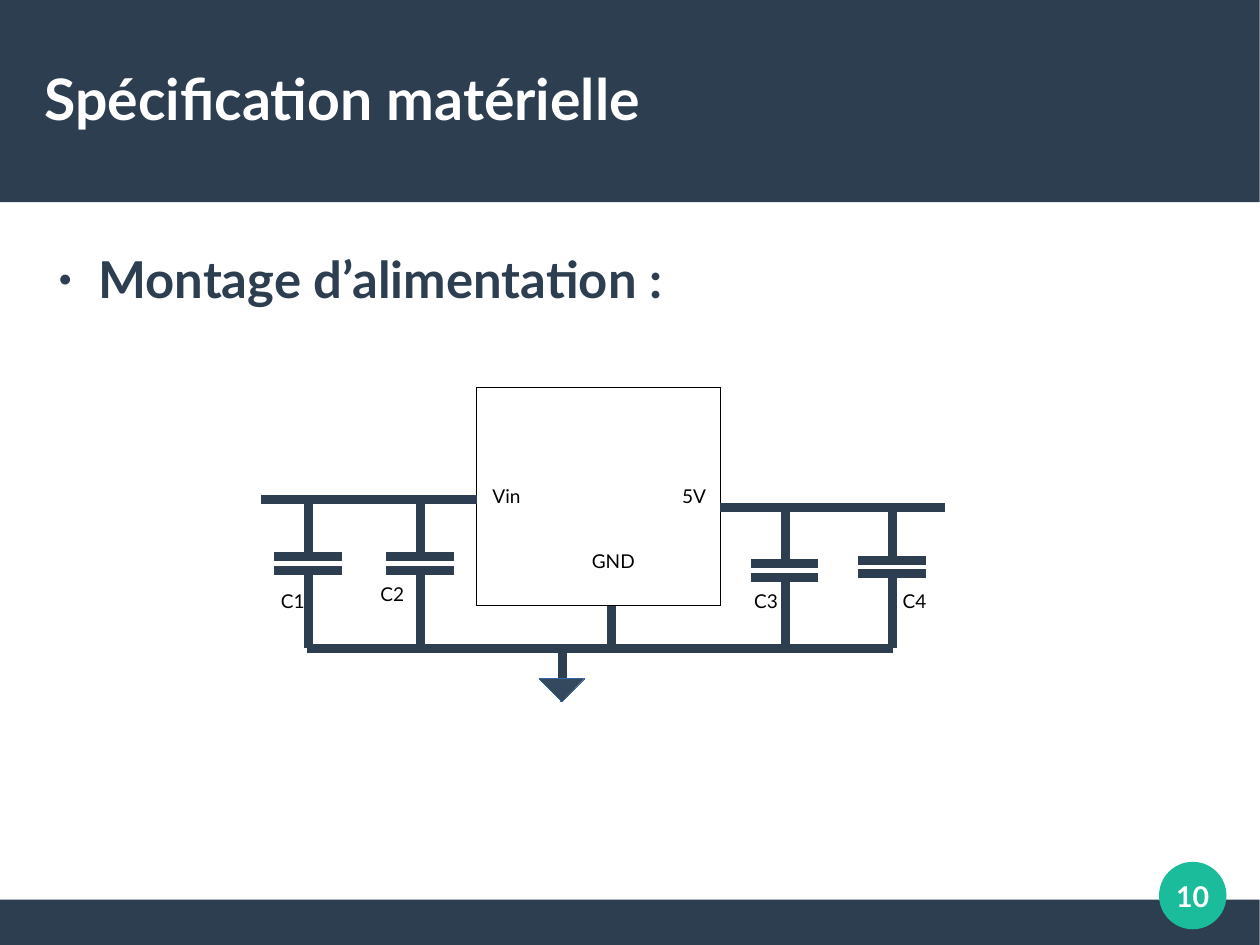
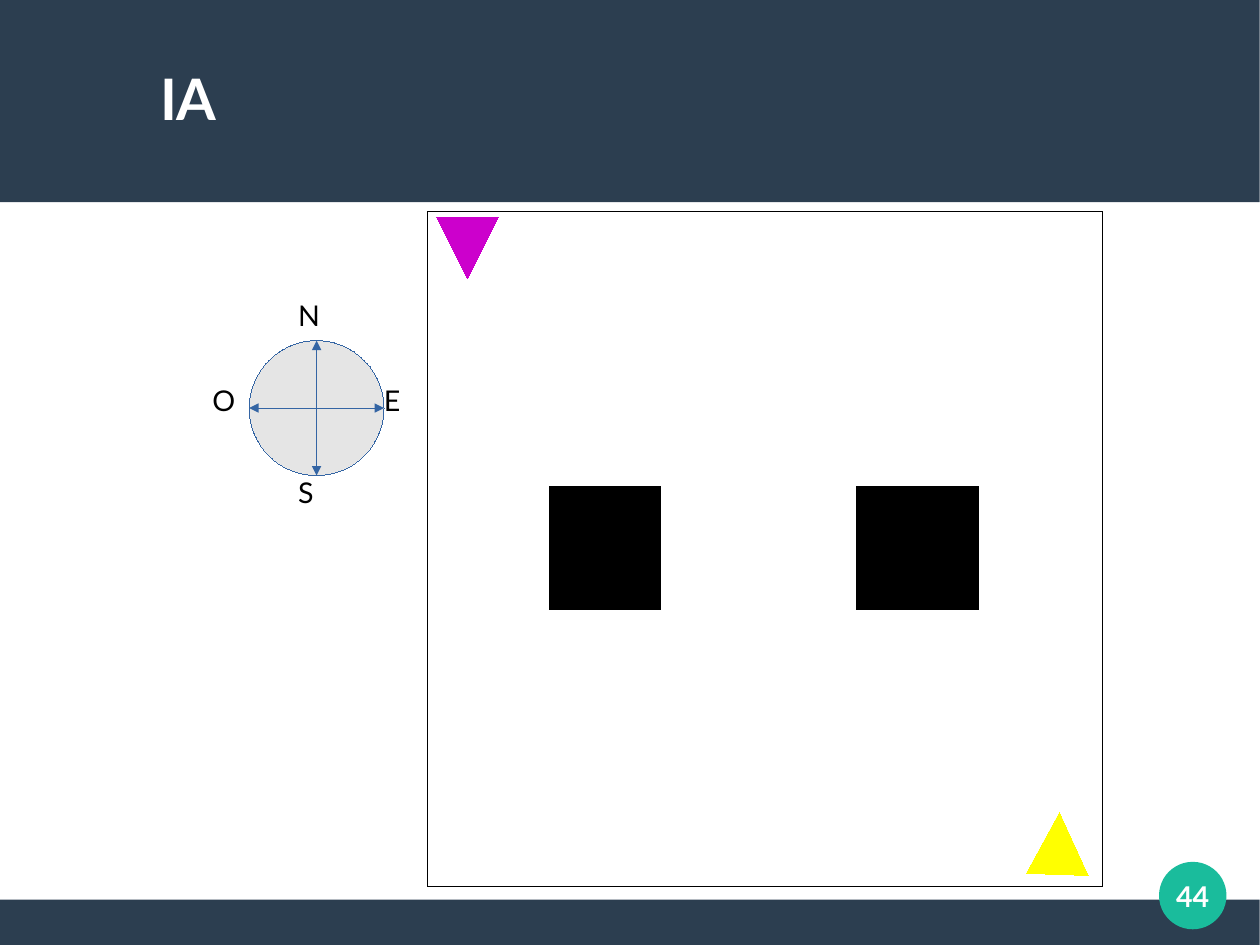
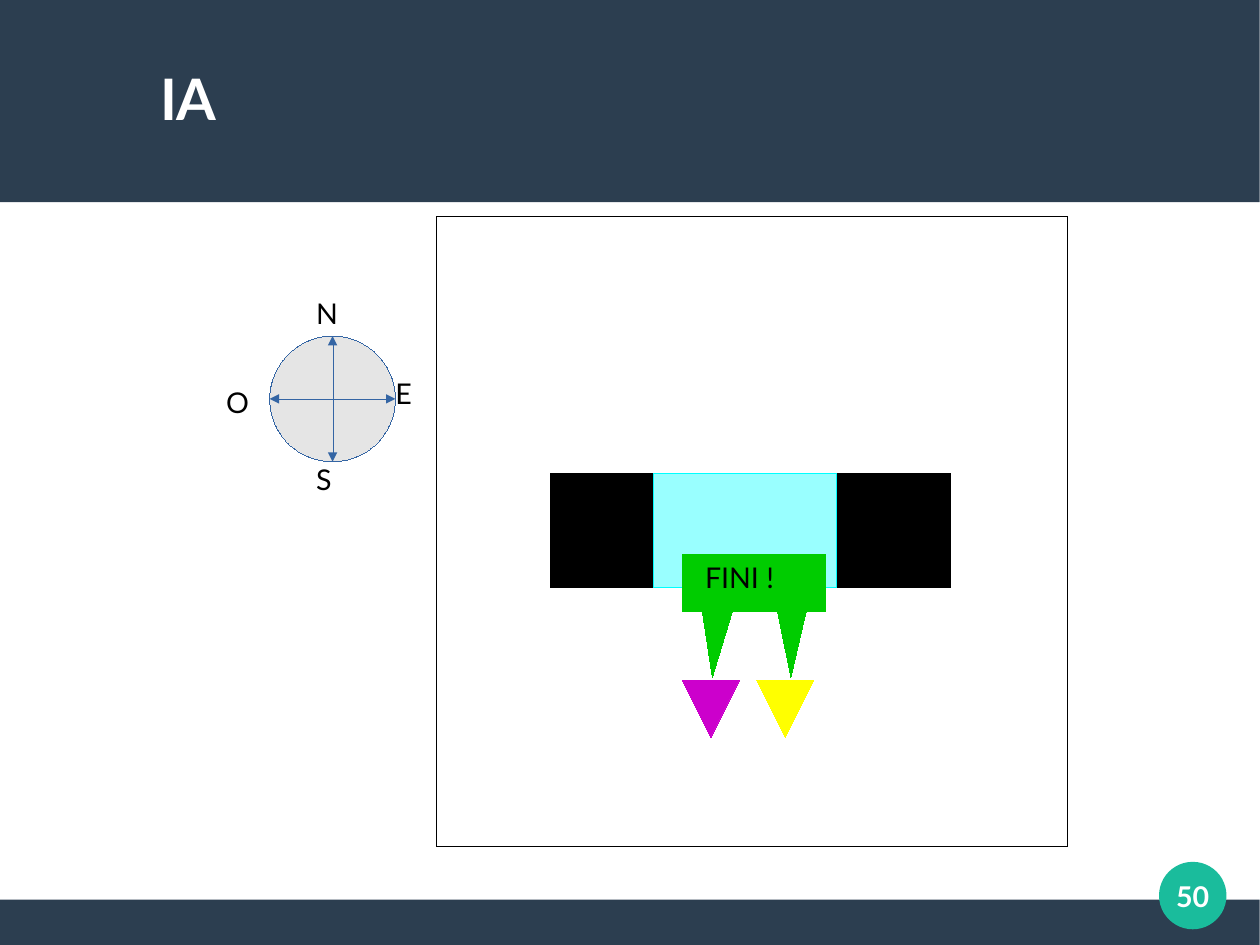
import pptx
import pptx.dml.color
import pptx.enum.shapes
import pptx.enum.text
import pptx.oxml.ns
import pptx.util
import lxml.etree

Inches = pptx.util.Inches
KIND = pptx.enum.shapes.MSO_SHAPE
ALIGN = pptx.enum.text.PP_ALIGN
ANCHOR = pptx.enum.text.MSO_ANCHOR
FONT = "Lato"
INK = {
    "navy": "2C3E50", "teal": "1ABC9C", "slate": "34495E", "blue": "3465A4",
    "sky": "729FCF", "gray": "DDDDDD", "black": "000000", "white": "FFFFFF",
    "pink": "CC00CC", "gold": "FFFF00", "ice": "99FFFF", "cyan": "00FFFF",
    "green": "00CC00",
}
RGB = {name: pptx.dml.color.RGBColor.from_string(code) for name, code in INK.items()}
qn = pptx.oxml.ns.qn


def draw(slide, kind, box, fill, edge=None, turn=0, adj=None):
    shape = slide.shapes.add_shape(kind, *map(Inches, box))
    shape.shadow.inherit = False
    shape.fill.solid()
    shape.fill.fore_color.rgb = RGB[fill]
    if edge:
        shape.line.color.rgb = RGB[edge]
        shape.element.spPr.find(qn("a:ln")).set("w", "0")
    else:
        shape.line.fill.background()
    shape.rotation = turn
    for spot, value in enumerate(adj or []):
        shape.adjustments[spot] = value
    return shape


def wire(slide, start, end, ink="navy", width=5.67):
    line = slide.shapes.add_connector(
        pptx.enum.shapes.MSO_CONNECTOR.STRAIGHT, *map(Inches, start + end))
    line.line.color.rgb = RGB[ink]
    stroke = line.element.spPr.find(qn("a:ln"))
    stroke.set("w", str(pptx.util.Pt(width)))
    lxml.etree.SubElement(line.element.spPr, qn("a:effectLst"))
    return stroke


deck = pptx.Presentation()
deck.slide_width, deck.slide_height = Inches(28 / 2.54), Inches(21 / 2.54)
master = deck.slide_master
holders = [(0.39, 0.33, 10.24, 1.05), (0.39, 2.17, 10.24, 5.51)]
for holder, box in zip(master.placeholders, holders):
    holder.left, holder.top, holder.width, holder.height = map(Inches, box)

pages = [("Spécification matérielle", 0, "10", 1), ("IA", 1.01, "44", 5), ("IA", 1.01, "50", 5)]
slides = []
for words, indent, number, layout in pages:
    slide = deck.slides.add_slide(deck.slide_layouts[layout])
    slides.append(slide)
    title = slide.shapes.title
    title.text = words
    para = title.text_frame.paragraphs[0]
    para.alignment = ALIGN.LEFT
    para._p.get_or_add_pPr().set("marL", str(Inches(indent)))
    badge = slide.shapes.add_textbox(*map(Inches, (10.04, 7.44, 0.79, 0.79)))
    badge.text_frame.text = number
    badge.text_frame.paragraphs[0].alignment = ALIGN.CENTER
    for shape, size in [(title, 36), (badge, 18)]:
        frame = shape.text_frame
        frame.word_wrap = True
        frame.vertical_anchor = ANCHOR.MIDDLE
        frame.margin_left = frame.margin_right = frame.margin_top = frame.margin_bottom = 0
        font = frame.paragraphs[0].font
        font.name, font.size, font.bold = FONT, pptx.util.Pt(size), True
        font.color.rgb = RGB["white"]

power, *games = slides

bands = [
    (KIND.RECTANGLE, (0, 7.87, 11.02, 0.4), "navy"),
    (KIND.RECTANGLE, (0, 0, 11.02, 1.77), "navy"),
    (KIND.OVAL, (10.14, 7.54, 0.59, 0.59), "teal"),
]
for spot, (kind, box, fill) in enumerate(bands):
    band = draw(power, kind, box, fill).element
    band.nvSpPr.cNvPr.set("id", str(20 + spot))
    master.shapes.element.insert(2 + spot, band)

body = power.placeholders[1].text_frame
body.margin_left = body.margin_right = body.margin_top = body.margin_bottom = 0
body.text = "Montage d’alimentation :"
para = body.paragraphs[0]
para.space_before, para.space_after = pptx.util.Pt(0), pptx.util.Pt(14.1)
para.font.name, para.font.size, para.font.bold = FONT, pptx.util.Pt(32), True
para.font.color.rgb = RGB["navy"]
props = para._p.get_or_add_pPr()
props.set("marL", str(Inches(0.47)))
props.set("indent", str(Inches(-0.35)))
tint = lxml.etree.SubElement(props, qn("a:buClr"))
lxml.etree.SubElement(tint, qn("a:srgbClr"), val=INK["navy"])
lxml.etree.SubElement(props, qn("a:buSzPct"), val="45000")
lxml.etree.SubElement(props, qn("a:buChar"), char="●")

draw(power, KIND.FRAME, (4.17, 3.39, 2.13, 1.91), "black", "black", adj=[0])
ground = 5.67
for x, y in [(2.7, 4.87), (3.68, 4.87), (6.87, 4.93), (7.81, 4.9)]:
    for plate in (y, y + 0.12):
        wire(power, (x - 0.3, plate), (x + 0.29, plate))
    wire(power, (x, y), (x, y - 0.47))
    wire(power, (x, ground), (x, y + 0.09))
rails = [
    ((4.17, 4.37), (2.28, 4.37)),
    ((6.3, 4.44), (8.27, 4.44)),
    ((5.35, 5.3), (5.35, ground)),
    ((7.81, ground), (2.69, ground)),
    ((4.92, ground), (4.92, 5.98)),
]
for start, end in rails:
    wire(power, start, end)
draw(power, KIND.ISOSCELES_TRIANGLE, (4.72, 5.94, 0.39, 0.2), "slate", "blue", 180)

labels = [
    (power, "Vin", 4.21, 4.19, 0.51, 12),
    (power, "5V", 5.87, 4.19, 0.51, 12),
    (power, "GND", 5.08, 4.76, 0.63, 12),
    (power, "C1", 2.36, 5.11, 0.47, 12),
    (power, "C2", 3.23, 5.05, 0.47, 12),
    (power, "C3", 6.5, 5.11, 0.47, 12),
    (power, "C4", 7.8, 5.11, 0.47, 12),
    (games[1], "FINI !", 6.07, 4.85, 1.1, 18),
]

boards = [
    ((3.74, 1.85, 5.91), (4.81, 0.97, 7.49, 4.26, 1.07),
     (3.82, 1.9, 180), (8.99, 7.11, 2), 0.54, (2.18, 2.98, 1.18), (1.76, 3.3)),
    ((3.82, 1.89, 5.52), (4.82, 0.9, 7.32, 4.14, 1),
     (5.97, 5.95, 180), (6.62, 5.95, 180), 0.5, (2.36, 2.94, 1.1), (1.88, 3.32)),
]
for slide, (field, walls, pink, gold, size, dial, west) in zip(games, boards):
    x, y, side = field
    draw(slide, KIND.FRAME, (x, y, side, side), "sky", "black", adj=[0])
    left, width, right, top, side = walls
    for x, wide in [(left, width), (right, side)]:
        draw(slide, KIND.RECTANGLE, (x, top, wide, side), "black", "black")
    for ink, (x, y, turn) in [("pink", pink), ("gold", gold)]:
        draw(slide, KIND.ISOSCELES_TRIANGLE, (x, y, size, size), ink, ink, turn)
    x, y, span = dial
    disc = draw(slide, KIND.OVAL, (x, y, span, span), "gray", "blue")
    color = disc.element.spPr.find(qn("a:solidFill")).find(qn("a:srgbClr"))
    lxml.etree.SubElement(color, qn("a:alpha"), val="76000")
    half = span / 2
    axes = [((x + half, y + span), (x + half, y)), ((x, y + half), (x + span, y + half))]
    for start, end in axes:
        stroke = wire(slide, start, end, "blue", 0)
        for tip in ("a:headEnd", "a:tailEnd"):
            lxml.etree.SubElement(stroke, qn(tip), type="triangle")
    labels += [
        (slide, "N", x + 0.28 * span, y - 0.36 * span, 0.48, 18),
        (slide, "E", x + span - 0.1, y + 0.27 * span, 0.48, 18),
        (slide, "S", x + 0.28 * span, y + span - 0.05, 0.48, 18),
        (slide, "O", *west, 0.48, 18),
    ]

draw(games[1], KIND.RECTANGLE, (5.72, 4.14, 1.6, 1), "ice", "cyan")
for x, width, lean in [(6.22, 1, 0.2), (5.97, 1.05, -0.25)]:
    draw(games[1], KIND.RECTANGULAR_CALLOUT, (x, 4.85, width, 0.5),
         "green", "green", adj=[lean, 1.65])

for slide, words, x, y, width, size in labels:
    label = slide.shapes.add_textbox(*map(Inches, (x, y, width, 0.5)))
    frame = label.text_frame
    frame.word_wrap = True
    frame.auto_size = pptx.enum.text.MSO_AUTO_SIZE.SHAPE_TO_FIT_TEXT
    frame.text = words
    font = frame.paragraphs[0].font
    font.name, font.size = FONT, pptx.util.Pt(size)
    font.color.rgb = RGB["black"]

deck.save("out.pptx")
